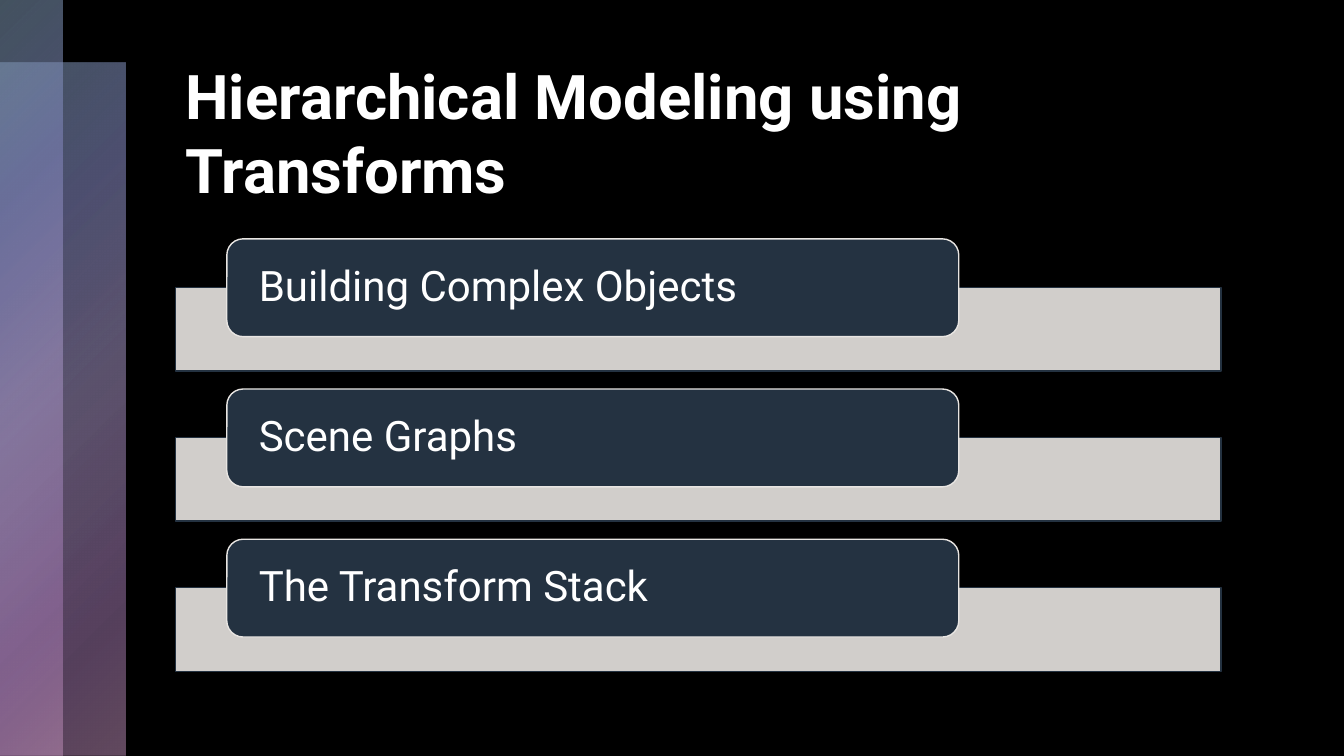
from lxml import etree
from pptx import Presentation
from pptx.dml.color import RGBColor
from pptx.enum.shapes import MSO_SHAPE as Preset
from pptx.enum.text import MSO_ANCHOR as Anchor, PP_ALIGN as Align
from pptx.oxml import parse_xml
from pptx.oxml.ns import nsdecls, qn
from pptx.util import Inches, Pt

HEADING = "Hierarchical Modeling using Transforms"
TOPICS = ["Building Complex Objects", "Scene Graphs", "The Transform Stack"]
RIBBONS = [(0, 0.62, 1.24, 6.88), (0, 0, 0.62, 7.5)]
RIBBON_STOPS = [
    (0, "88A4BF", 50),
    (25, "7F84BA", 60),
    (50, "A696C6", 55),
    (81, "AB7FBA", 50),
    (99, "C493BD", 50),
]

BLACK = RGBColor(0x00, 0x00, 0x00)
WHITE = RGBColor(0xFF, 0xFF, 0xFF)
NAVY = RGBColor(0x24, 0x32, 0x41)
SAND = RGBColor(0xE8, 0xE5, 0xE2)

LEFT, WIDTH = 1.74, 10.37
FIRST_CARD, PITCH, BAR_DROP = 2.37, 1.49, 0.48
HEADING_FONT = {"name": "Roboto", "size": Pt(44), "bold": True}
TOPIC_FONT = {"name": "Roboto", "size": Pt(30), "bold": False}
HEADING_FRAME = {"word_wrap": True, "vertical_anchor": Anchor.MIDDLE}
TOPIC_FRAME = {
    "word_wrap": True,
    "vertical_anchor": Anchor.MIDDLE,
    "margin_left": Inches(0.27),
    "margin_right": Inches(0.27),
    "margin_top": 0,
    "margin_bottom": 0,
}


def apply(target, values):
    for name, value in values.items():
        setattr(target, name, value)


def add_panel(slide, preset, box, fill=None, line=None):
    panel = slide.shapes.add_shape(preset, *map(Inches, box))
    panel.shadow.inherit = False
    if fill is not None:
        panel.fill.solid()
        panel.fill.fore_color.rgb = fill
    if line is None:
        panel.line.fill.background()
    else:
        panel.line.color.rgb = line
        panel.line.width = Pt(1)
    return panel


def write(shape, text, font, frame):
    apply(shape.text_frame, frame)
    paragraph = shape.text_frame.paragraphs[0]
    paragraph.alignment = Align.LEFT
    run = paragraph.add_run()
    run.text = text
    apply(run.font, font)
    run.font.color.rgb = WHITE
    return paragraph


def fill_ribbon(ribbon):
    stops = "".join(
        f'<a:gs pos="{pos * 1000}"><a:srgbClr val="{color}">'
        f'<a:alpha val="{alpha * 1000}"/></a:srgbClr></a:gs>'
        for pos, color, alpha in RIBBON_STOPS
    )
    gradient = parse_xml(
        f'<a:gradFill {nsdecls("a")} rotWithShape="1"><a:gsLst>{stops}</a:gsLst>'
        '<a:path path="circle"><a:fillToRect r="100000" b="100000"/></a:path>'
        "</a:gradFill>"
    )
    ribbon.element.spPr.find(qn("a:prstGeom")).addnext(gradient)


def set_alpha(shape, percent):
    color = shape.element.spPr.find(qn("a:solidFill"))[0]
    etree.SubElement(color, qn("a:alpha"), val=str(percent * 1000))


def main():
    deck = Presentation()
    deck.slide_width, deck.slide_height = Inches(13.33), Inches(7.5)
    slide = deck.slides.add_slide(deck.slide_layouts[6])
    slide.background.fill.solid()
    slide.background.fill.fore_color.rgb = BLACK

    for box in RIBBONS:
        fill_ribbon(add_panel(slide, Preset.RECTANGLE, box))

    heading = slide.shapes.add_textbox(*map(Inches, (LEFT, 0.46, WIDTH, 1.7)))
    write(heading, HEADING, HEADING_FONT, HEADING_FRAME)

    for index, topic in enumerate(TOPICS):
        top = FIRST_CARD + index * PITCH
        bar_box = (LEFT, top + BAR_DROP, WIDTH, 0.83)
        bar = add_panel(slide, Preset.RECTANGLE, bar_box, SAND, NAVY)
        set_alpha(bar, 90)
        card_box = (LEFT + 0.51, top, 7.26, 0.97)
        card = add_panel(slide, Preset.ROUNDED_RECTANGLE, card_box, NAVY, SAND)
        label = write(card, topic, TOPIC_FONT, TOPIC_FRAME)
        apply(label, {"line_spacing": 0.9, "space_after": Pt(10.5)})

    deck.save("out.pptx")


if __name__ == "__main__":
    main()
